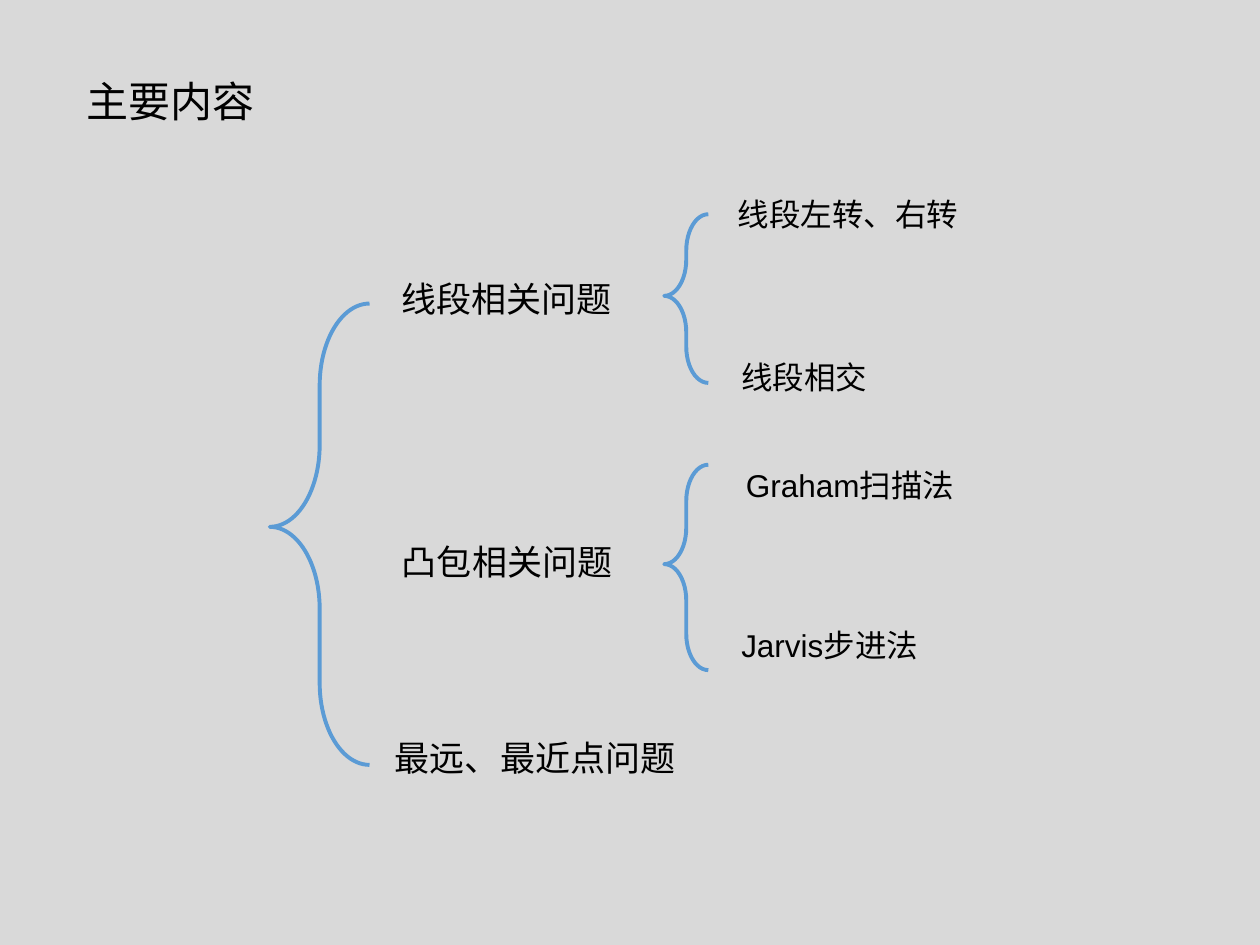
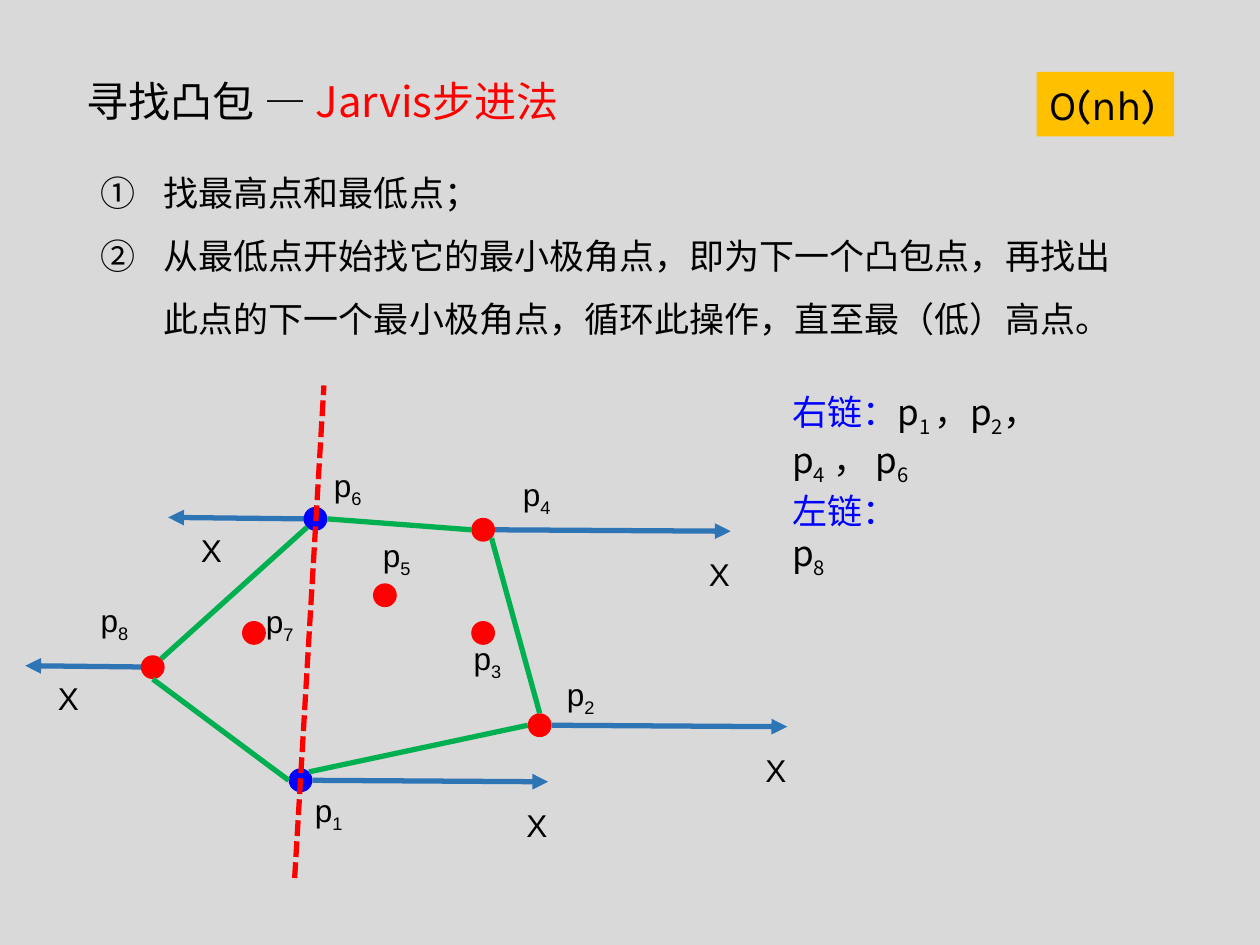
from math import cos, radians, sin

from lxml import etree
from pptx import Presentation
from pptx.dml.color import RGBColor
from pptx.enum.dml import MSO_LINE
from pptx.enum.shapes import MSO_CONNECTOR, MSO_SHAPE
from pptx.enum.text import MSO_ANCHOR, PP_ALIGN
from pptx.oxml.ns import qn
from pptx.util import Cm, Pt

BACKGROUND = RGBColor(0xD9, 0xD9, 0xD9)
BLACK = RGBColor(0x00, 0x00, 0x00)
RED = RGBColor(0xFF, 0x00, 0x00)
BLUE = RGBColor(0x00, 0x00, 0xFF)
GREEN = RGBColor(0x00, 0xB0, 0x50)
AMBER = RGBColor(0xFF, 0xC0, 0x00)
BRACE_BLUE = RGBColor(0x5B, 0x9B, 0xD5)
RAY_BLUE = RGBColor(0x2E, 0x75, 0xB6)

LATIN = "Arial"
CJK = "Noto Sans CJK SC"
SUB = {"sub": True}
RADIUS = 0.24


def add_run(p, text, size, font=LATIN, color=BLACK, sub=False):
    r = p.add_run()
    r.text = text
    r.font.size = Pt(size)
    r.font.name = font
    r.font.color.rgb = color
    props = r._r.get_or_add_rPr()
    etree.SubElement(props, qn("a:ea")).set("typeface", CJK)
    if sub:
        props.set("baseline", "-25000")


def write_text(tf, paragraphs, size=18, font=LATIN, color=BLACK, align=PP_ALIGN.LEFT,
               anchor=MSO_ANCHOR.TOP, spacing=None, bullet=None):
    tf.word_wrap = True
    tf.vertical_anchor = anchor
    for i, runs in enumerate(paragraphs):
        p = tf.add_paragraph() if i else tf.paragraphs[0]
        p.alignment = align
        if spacing:
            p.line_spacing = spacing
        if bullet:
            props = p._p.get_or_add_pPr()
            props.set("marL", str(Cm(1.27)))
            props.set("indent", str(-Cm(1.27)))
            etree.SubElement(props, qn("a:buFont")).set("typeface", "+mj-ea")
            etree.SubElement(props, qn("a:buAutoNum")).set("type", bullet)
        for text, changes in runs:
            add_run(p, text, **{"size": size, "font": font, "color": color, **changes})


def add_text(s, x, y, w, h, paragraphs, **fmt):
    if isinstance(paragraphs, str):
        paragraphs = [[(paragraphs, {})]]
    sp = s.shapes.add_textbox(Cm(x), Cm(y), Cm(w), Cm(h))
    write_text(sp.text_frame, paragraphs, **fmt)


def add_title(s, w, *runs):
    add_text(s, 1.5, 1.24, w, 1.7, [runs], size=24, anchor=MSO_ANCHOR.MIDDLE, spacing=0.9)


def add_filled(s, kind, x, y, w, h, fill):
    sp = s.shapes.add_shape(kind, Cm(x), Cm(y), Cm(w), Cm(h))
    sp.shadow.inherit = False
    sp.fill.solid()
    sp.fill.fore_color.rgb = fill
    sp.line.fill.background()
    return sp


def add_brace(s, x, y, w, h):
    sp = s.shapes.add_shape(MSO_SHAPE.LEFT_BRACE, Cm(x), Cm(y), Cm(w), Cm(h))
    sp.shadow.inherit = False
    sp.fill.background()
    sp.line.color.rgb = BRACE_BLUE
    sp.line.width = Pt(2.25)
    sp.adjustments[0] = 0.821
    sp.adjustments[1] = 0.484


def add_line(s, start, end, color, arrow=False, dash=None):
    cxn = s.shapes.add_connector(MSO_CONNECTOR.STRAIGHT, *map(Cm, (*start, *end)))
    cxn.line.color.rgb = color
    cxn.line.width = Pt(3)
    if dash:
        cxn.line.dash_style = dash
    if arrow:
        etree.SubElement(cxn.line._get_or_add_ln(), qn("a:tailEnd")).set("type", "triangle")
    etree.SubElement(cxn._element.spPr, qn("a:effectLst"))


def add_topic_tree(s, x, y):
    braces = [(0, 2.31, 2.01, 9.3), (7.95, 0.51, 0.89, 3.4), (7.95, 5.56, 0.89, 4.14)]
    topics = [
        ("线段相关问题", 1.82, 1.65, 5.92),
        ("凸包相关问题", 2.03, 6.96, 5.51),
        ("最远、最近点问题", 1.49, 10.92, 7.72),
    ]
    methods = [
        ("线段左转、右转", 8.83, 0, 5.66),
        ("线段相交", 9.06, 3.28, 3.43),
        ("Graham扫描法", 9.27, 5.46, 4.85),
        ("Jarvis步进法", 9.06, 8.69, 4.45),
    ]
    for dx, dy, w, h in braces:
        add_brace(s, x + dx, y + dy, w, h)
    for size, h, labels in ((20, 1.11, topics), (18, 1.02, methods)):
        for text, dx, dy, w in labels:
            add_text(s, x + dx, y + dy, w, h, text, size=size, align=PP_ALIGN.CENTER)


def add_ray(s, x, y, direction, start, length):
    tip = (x + direction * (start + length), y + direction * 0.03)
    add_line(s, (x + direction * start, y), tip, RAY_BLUE, arrow=True)
    dx, dy = (-0.69, 0.36) if direction > 0 else (0.41, 0.15)
    add_text(s, tip[0] + dx, tip[1] + dy, 1.07, 1.02, "X")


def add_hull(s, x, y):
    places = {
        1: (5.56, 8.03), 2: (10.38, 6.92), 3: (9.24, 5.06), 4: (9.24, 2.98),
        5: (7.26, 4.3), 6: (5.86, 2.76), 7: (4.62, 5.06), 8: (2.58, 5.75),
    }
    label_offsets = {
        1: (0.04, 0.09), 2: (0.3, -1.13), 3: (-0.44, -0.01), 4: (0.55, -1.23),
        5: (-0.29, -1.31), 6: (0.12, -1.19), 7: (-0.01, -0.75), 8: (-1.3, -1.46),
    }
    points = {n: (x + dx, y + dy) for n, (dx, dy) in places.items()}

    def rim(n, angle):
        px, py = points[n]
        return px + RADIUS * cos(radians(angle)), py - RADIUS * sin(radians(angle))

    add_ray(s, *points[6], -1, 0.2, 2.77)
    add_ray(s, *points[8], -1, -0.2, 2.77)
    for n in (1, 2, 4):
        add_ray(s, *points[n], 1, RADIUS, 4.75)
    for n, (px, py) in points.items():
        add_filled(s, MSO_SHAPE.FLOWCHART_CONNECTOR, px - RADIUS, py - RADIUS,
                   2 * RADIUS, 2 * RADIUS, BLUE if n in (1, 6) else RED)
        dx, dy = label_offsets[n]
        add_text(s, px + dx, py + dy, 1.4, 1.02, [[("p", {}), (str(n), SUB)]])
    add_line(s, (x + 5.44, y + 10), (x + 6.03, y + 0.07), RED, dash=MSO_LINE.SQUARE_DOT)
    edges = [
        (1, 45, 2, 180), (2, 90, 4, 315), (4, 180, 6, 0), (6, 225, 8, 45), (8, 270, 1, 180),
    ]
    for a, angle_a, b, angle_b in edges:
        add_line(s, rim(a, angle_a), rim(b, angle_b), GREEN)


def add_steps(s, x, y, w, h):
    steps = [
        "找最高点和最低点；",
        "从最低点开始找它的最小极角点，即为下一个凸包点，再找出此点的下一个最小极角点，"
        "循环此操作，直至最（低）高点。",
    ]
    add_text(s, x, y, w, h, [[(step, {})] for step in steps],
             size=20, font=CJK, spacing=1.5, bullet="circleNumDbPlain")


def add_chains(s, x, y):
    heading = {"color": BLUE}
    right = [("右链：", heading), ("p", {}), ("1 ", SUB), ("，p", {}), ("2", SUB),
             ("， p", {}), ("4", SUB), (" ， p", {}), ("6", SUB)]
    left = [("左链：", heading), ("p", {}), ("8", SUB)]
    for dy, w, runs in ((0, 6.5, right), (2, 3.05, left)):
        add_text(s, x, y + dy, w, 1.11, [runs], size=20, font=CJK)


def add_complexity(s, x, y, w, h):
    sp = add_filled(s, MSO_SHAPE.RECTANGLE, x, y, w, h, AMBER)
    write_text(sp.text_frame, [[("O(nh)", {})]], size=24, font="Karla")


def build_contents(s):
    add_title(s, 4.29, ("主要内容", {}))
    add_topic_tree(s, 5.44, 3.81)


def build_jarvis(s):
    add_title(s, 16.2, ("寻找凸包 — ", {}), ("Jarvis步进法", {"font": CJK, "color": RED}))
    add_steps(s, 1.78, 2.9, 20.93, 4.11)
    add_hull(s, 0.5, 7.7)
    add_chains(s, 15.72, 7.75)
    add_complexity(s, 20.9, 1.45, 2.77, 1.3)


def main():
    prs = Presentation()
    prs.slide_width = Cm(25.4)
    prs.slide_height = Cm(19.05)
    fill = prs.slide_master.background.fill
    fill.solid()
    fill.fore_color.rgb = BACKGROUND
    for build in (build_contents, build_jarvis):
        build(prs.slides.add_slide(prs.slide_layouts[6]))
    prs.save("out.pptx")


if __name__ == "__main__":
    main()
